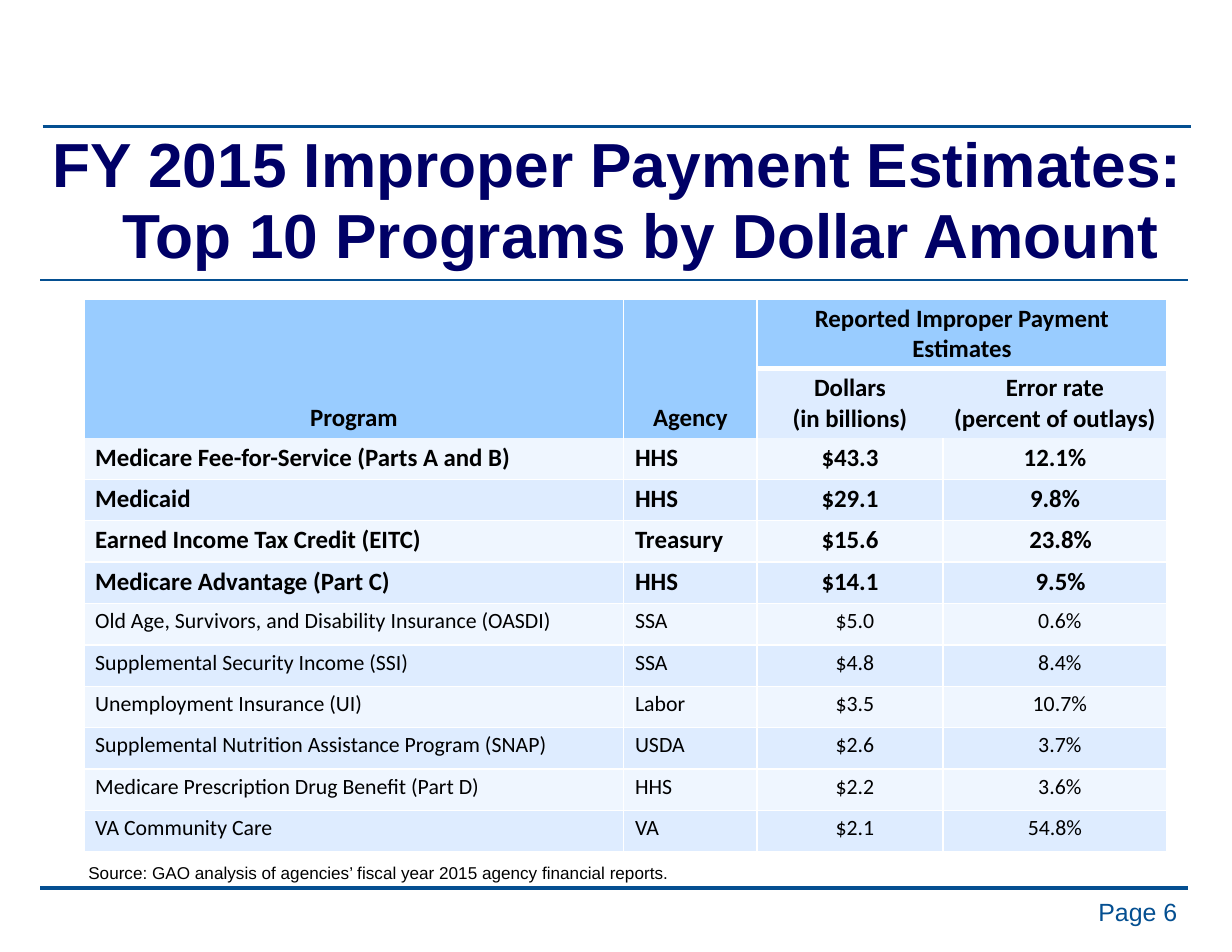
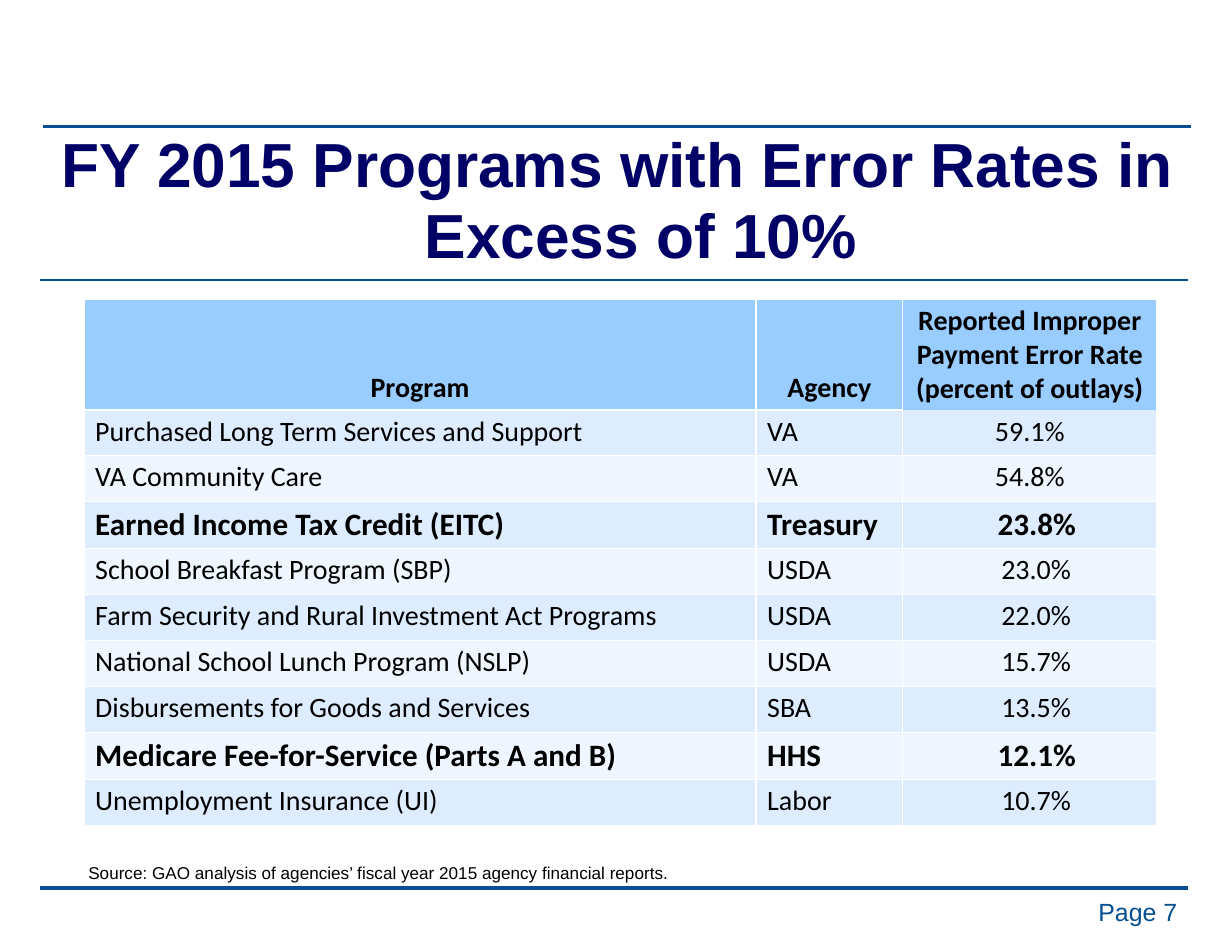
from lxml import etree
from pptx import Presentation, util as u
from pptx.dml.color import RGBColor
from pptx.enum import shapes, text
from pptx.oxml import ns

RULE_BLUE = RGBColor(0x04, 0x4F, 0x91)
TITLE_NAVY = RGBColor(0x00, 0x00, 0x66)
HEADER_BLUE = RGBColor(0x99, 0xCC, 0xFF)
BAND_LIGHT = RGBColor(0xDE, 0xEC, 0xFF)
BAND_PALE = RGBColor(0xEF, 0xF6, 0xFF)
BLACK = RGBColor(0, 0, 0)
WHITE = RGBColor(0xFF, 0xFF, 0xFF)

SLIDE_W, SLIDE_H = 11, 8.5
RULE_LENGTH = 10.25
RULES = [(0.38, 1.13, 2.5), (0.36, 7.93, 2.5), (0.36, 2.5, 1.5)]  # left, top, points
TABLE_LEFT, TABLE_TOP = 0.75, 2.67
TITLE_INDENT = 0.42
SOURCE = "Source: GAO analysis of agencies’ fiscal year 2015 agency financial reports."

# Rows and columns count from 0, header rows included.
# "nudged" maps a column to the rows whose figures sit slightly right of centre.
SLIDES = [
    {
        "title": "FY 2015 Improper Payment Estimates: Top 10 Programs by Dollar Amount",
        "page": "Page 6",
        "columns": [4.82, 1.19, 1.66, 2],
        "header": [
            ("Program", "Agency", "Reported Improper Payment Estimates", ""),
            ("", "", "Dollars\n(in billions)", "Error rate\n(percent of outlays)"),
        ],
        "body": [
            ("Medicare Fee-for-Service (Parts A and B)", "HHS", "$43.3", "12.1%"),
            ("Medicaid", "HHS", "$29.1", "9.8%"),
            ("Earned Income Tax Credit (EITC)", "Treasury", "$15.6", "23.8%"),
            ("Medicare Advantage (Part C)", "HHS", "$14.1", "9.5%"),
            ("Old Age, Survivors, and Disability Insurance (OASDI)", "SSA", "$5.0", "0.6%"),
            ("Supplemental Security Income (SSI)", "SSA", "$4.8", "8.4%"),
            ("Unemployment Insurance (UI)", "Labor", "$3.5", "10.7%"),
            ("Supplemental Nutrition Assistance Program (SNAP)", "USDA", "$2.6", "3.7%"),
            ("Medicare Prescription Drug Benefit (Part D)", "HHS", "$2.2", "3.6%"),
            ("VA Community Care", "VA", "$2.1", "54.8%"),
        ],
        "bold_rows": [2, 3, 4, 5],
        "sizes": {"header": 16, "bold": 16, "plain": 14},
        "heights": {"header": 0.62, "bold": 0.37, "plain": 0.37},
        "nudged": {2: range(6, 12), 3: range(4, 11)},
        "merges": [((0, 0), (1, 0)), ((0, 1), (1, 1)), ((0, 2), (0, 3))],
        "open_below": [(0, 0), (0, 1), (1, 0), (1, 1), (1, 2), (1, 3)],
        "open_right": [(1, 2)],
        "thick_below": [(0, 2), (0, 3)],
    },
    {
        "title": "FY 2015 Programs with Error Rates in Excess of 10%",
        "page": "Page 7",
        "columns": [6, 1.31, 2.27],
        "header": [
            ("Program", "Agency",
             "Reported Improper Payment Error Rate (percent of outlays)"),
        ],
        "body": [
            ("Purchased Long Term Services and Support", "VA", "59.1%"),
            ("VA Community Care", "VA", "54.8%"),
            ("Earned Income Tax Credit (EITC)", "Treasury", "23.8%"),
            ("School Breakfast Program (SBP)", "USDA", "23.0%"),
            ("Farm Security and Rural Investment Act Programs", "USDA", "22.0%"),
            ("National School Lunch Program (NSLP)", "USDA", "15.7%"),
            ("Disbursements for Goods and Services", "SBA", "13.5%"),
            ("Medicare Fee-for-Service (Parts A and B)", "HHS", "12.1%"),
            ("Unemployment Insurance (UI)", "Labor", "10.7%"),
        ],
        "bold_rows": [3, 8],
        "sizes": {"header": 18, "bold": 20, "plain": 18},
        "heights": {"header": 0.99, "bold": 0.42, "plain": 0.41},
        "nudged": {2: range(3, 10)},
        "merges": [],
        "open_below": [(0, 2)],
        "open_right": [],
        "thick_below": [],
    },
]


def style(frame, font, size, color, bold=False, align=text.PP_ALIGN.LEFT):
    for paragraph in frame.paragraphs:
        paragraph.alignment = align
        for run in paragraph.runs:
            run.font.name = font
            run.font.size = u.Pt(size)
            run.font.bold = bold
            run.font.color.rgb = color


def add_text(slide, words, box, insets, wrap=True):
    frame = slide.shapes.add_textbox(*map(u.Inches, box)).text_frame
    frame.word_wrap = wrap
    frame.margin_left = frame.margin_right = u.Inches(insets[0])
    frame.margin_top = frame.margin_bottom = u.Inches(insets[1])
    frame.text = words
    return frame


def add_frame(slide, page):
    """Draw the rules, page number and source line that every slide carries."""
    for left, top, width in RULES:
        rule = slide.shapes.add_connector(
            shapes.MSO_CONNECTOR.STRAIGHT, u.Inches(left), u.Inches(top),
            u.Inches(left + RULE_LENGTH), u.Inches(top))
        rule.line.color.rgb = RULE_BLUE
        rule.line.width = u.Pt(width)
        etree.SubElement(rule._element.spPr, ns.qn("a:effectLst"))
    number = add_text(slide, page, (8.05, 7.94, 2.57, 0.39), (0.11, 0.06))
    number.vertical_anchor = text.MSO_ANCHOR.MIDDLE
    style(number, "Arial", 16, RULE_BLUE, align=text.PP_ALIGN.RIGHT)
    source = add_text(slide, SOURCE, (0.69, 7.65, 5.39, 0.29), (0.1, 0.05), wrap=False)
    style(source, "Arial", 11, BLACK)


def add_title(slide, words):
    title = add_text(slide, words, (0.42, 1.17, 10.18, 1.3), (0, 0))
    style(title, "Arial", 40, TITLE_NAVY, True, text.PP_ALIGN.CENTER)
    paragraph = title.paragraphs[0]
    paragraph.line_spacing = 0.95
    properties = paragraph._p.get_or_add_pPr()
    properties.set("marL", str(u.Inches(TITLE_INDENT)))
    properties.set("indent", str(-u.Inches(TITLE_INDENT)))


def set_borders(cell, row, col, content):
    below, right, thick = (content[key] for key in ("open_below", "open_right", "thick_below"))
    edges = [
        ("L", (row, col - 1) in right, False),
        ("R", (row, col) in right, False),
        ("T", (row - 1, col) in below, (row - 1, col) in thick),
        ("B", (row, col) in below, (row, col) in thick),
    ]
    properties = cell._tc.get_or_add_tcPr()
    for side, is_open, is_thick in edges:
        line = etree.SubElement(properties, ns.qn("a:ln" + side),
                                w=str(u.Pt(3 if is_thick else 1)))
        if is_open:
            etree.SubElement(line, ns.qn("a:noFill"))
        else:
            fill = etree.SubElement(line, ns.qn("a:solidFill"))
            etree.SubElement(fill, ns.qn("a:srgbClr"), val=str(WHITE))


def fill_cell(cell, row, col, words, kind, content):
    size = content["sizes"][kind]
    is_header = kind == "header"
    set_borders(cell, row, col, content)
    cell.fill.solid()
    cell.fill.fore_color.rgb = (HEADER_BLUE if row == 0 else
                                BAND_LIGHT if row % 2 else BAND_PALE)
    cell.margin_left = cell.margin_right = u.Inches(0.09 if is_header else 0.1)
    cell.margin_top = cell.margin_bottom = u.Inches(0.04)
    if row in content["nudged"].get(col, ()):
        cell.margin_left += u.Pt(0.45 * size)
    at_bottom = is_header and (row, col) != (0, 2)
    cell.vertical_anchor = text.MSO_ANCHOR.BOTTOM if at_bottom else text.MSO_ANCHOR.TOP
    cell.text_frame.text = words
    centred = is_header or col >= 2
    style(cell.text_frame, "Calibri", size, BLACK, kind != "plain",
          text.PP_ALIGN.CENTER if centred else text.PP_ALIGN.LEFT)


def add_program_table(slide, content):
    rows = content["header"] + content["body"]
    kinds = ["header" if r < len(content["header"]) else
             "bold" if r in content["bold_rows"] else "plain" for r in range(len(rows))]
    widths = content["columns"]
    heights = [content["heights"][kind] for kind in kinds]
    table = slide.shapes.add_table(
        len(rows), len(widths), u.Inches(TABLE_LEFT), u.Inches(TABLE_TOP),
        u.Inches(sum(widths)), u.Inches(sum(heights))).table
    table.first_row = table.horz_banding = False
    for column, width in zip(table.columns, widths):
        column.width = u.Inches(width)
    for r, (values, kind) in enumerate(zip(rows, kinds)):
        table.rows[r].height = u.Inches(heights[r])
        for c, words in enumerate(values):
            fill_cell(table.cell(r, c), r, c, words, kind, content)
    for first, last in content["merges"]:
        table.cell(*first).merge(table.cell(*last))


def main():
    deck = Presentation()
    deck.slide_width, deck.slide_height = u.Inches(SLIDE_W), u.Inches(SLIDE_H)
    for content in SLIDES:
        slide = deck.slides.add_slide(deck.slide_layouts[6])
        add_frame(slide, content["page"])
        add_program_table(slide, content)
        add_title(slide, content["title"])
    deck.save("out.pptx")


if __name__ == "__main__":
    main()
